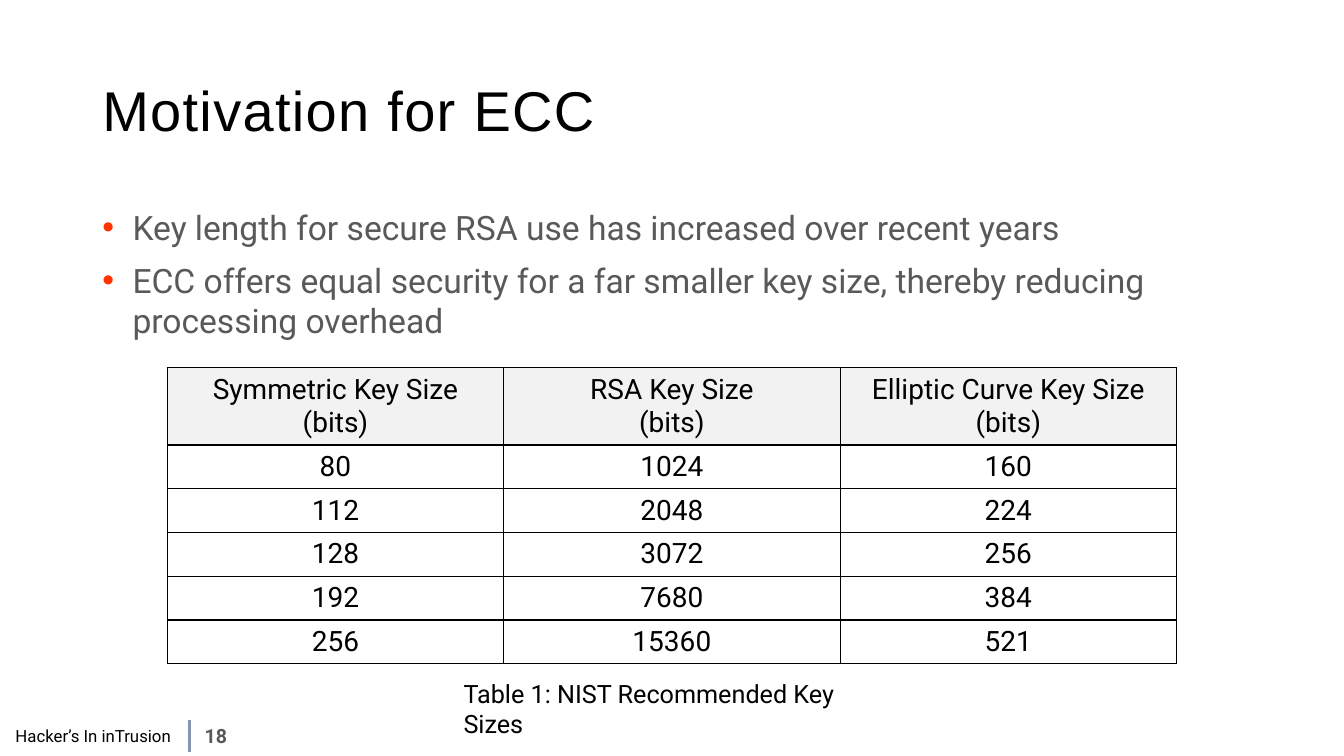
from dataclasses import dataclass

from lxml import etree
from pptx import Presentation
from pptx.dml.color import RGBColor
from pptx.enum.shapes import MSO_CONNECTOR
from pptx.enum.text import MSO_ANCHOR, PP_ALIGN
from pptx.oxml.ns import qn
from pptx.util import Pt

LEFT, CENTER = PP_ALIGN.LEFT, PP_ALIGN.CENTER
TOP, MIDDLE = MSO_ANCHOR.TOP, MSO_ANCHOR.MIDDLE
STRAIGHT = MSO_CONNECTOR.STRAIGHT


@dataclass(frozen=True)
class Theme:
    heading_font: str = "Arial"
    body_font: str = "Roboto"
    black: str = "000000"
    gray: str = "595959"
    bullet: str = "FF3300"
    header_fill: str = "F2F2F2"
    white: str = "FFFFFF"
    divider: str = "8497B0"
    title_size: int = 40
    body_size: int = 24
    table_size: int = 20
    caption_size: int = 18
    number_size: int = 14
    footer_size: int = 12


THEME = Theme()

BULLETS = [
    "Key length for secure RSA use has increased over recent years",
    "ECC offers equal security for a far smaller key size, thereby reducing "
    "processing overhead",
]
KEY_SIZES = [
    ("Symmetric Key Size\n(bits)", "RSA Key Size\n(bits)", "Elliptic Curve Key Size\n(bits)"),
    ("80", "1024", "160"),
    ("112", "2048", "224"),
    ("128", "3072", "256"),
    ("192", "7680", "384"),
    ("256", "15360", "521"),
]


def style(paragraph, size, color=THEME.black, font=THEME.body_font, align=LEFT, bold=False):
    paragraph.alignment = align
    paragraph.font.name = font
    paragraph.font.size = Pt(size)
    paragraph.font.bold = bold
    paragraph.font.color.rgb = RGBColor.from_string(color)


def add_text_frame(slide, left, top, width, height, anchor=TOP):
    frame = slide.shapes.add_textbox(Pt(left), Pt(top), Pt(width), Pt(height)).text_frame
    frame.word_wrap = True
    frame.vertical_anchor = anchor
    return frame


def add_label(slide, box, text, size, anchor=TOP, **look):
    paragraph = add_text_frame(slide, *box, anchor=anchor).paragraphs[0]
    paragraph.text = text
    style(paragraph, size, **look)
    return paragraph


def add_title(slide, text):
    paragraph = add_label(slide, (66, 28.8, 828, 104.4), text, THEME.title_size,
                          anchor=MIDDLE, font=THEME.heading_font)
    paragraph.line_spacing = 0.9
    # Letter spacing of one point
    paragraph.runs[0].font._element.set("spc", "100")


def set_bullet(paragraph, indent):
    properties = paragraph._p.get_or_add_pPr()
    properties.set("marL", str(Pt(indent)))
    properties.set("indent", str(-Pt(indent)))
    color = etree.SubElement(properties, qn("a:buClr"))
    etree.SubElement(color, qn("a:srgbClr"), val=THEME.bullet)
    etree.SubElement(properties, qn("a:buFont"), typeface="Arial")
    etree.SubElement(properties, qn("a:buChar"), char="•")


def add_bullets(slide, items):
    frame = add_text_frame(slide, 66, 144, 828, 365)
    for index, item in enumerate(items):
        paragraph = frame.add_paragraph() if index else frame.paragraphs[0]
        paragraph.text = item
        set_bullet(paragraph, 21.6)
        paragraph.space_after = Pt(9)
        style(paragraph, THEME.body_size, THEME.gray)


def set_borders(cell, color, width):
    properties = cell._tc.get_or_add_tcPr()
    for position, side in enumerate(("a:lnL", "a:lnR", "a:lnT", "a:lnB")):
        line = etree.Element(qn(side), w=str(Pt(width)))
        fill = etree.SubElement(line, qn("a:solidFill"))
        etree.SubElement(fill, qn("a:srgbClr"), val=color)
        properties.insert(position, line)


def add_key_table(slide, rows):
    header_height, row_height, column_width = 54.3, 30.7, 240.3
    columns = len(rows[0])
    height = header_height + row_height * (len(rows) - 1)
    table = slide.shapes.add_table(len(rows), columns, Pt(119.5), Pt(262.6),
                                   Pt(column_width * columns), Pt(height)).table
    table.horz_banding = False
    for column in table.columns:
        column.width = Pt(column_width)
    for row_index, values in enumerate(rows):
        table.rows[row_index].height = Pt(row_height if row_index else header_height)
        for column_index, value in enumerate(values):
            cell = table.cell(row_index, column_index)
            cell.vertical_anchor = MIDDLE
            cell.fill.solid()
            fill = THEME.white if row_index else THEME.header_fill
            cell.fill.fore_color.rgb = RGBColor.from_string(fill)
            set_borders(cell, THEME.black, 1)
            paragraph = cell.text_frame.paragraphs[0]
            paragraph.text = value
            style(paragraph, THEME.table_size, align=CENTER)


def add_divider(slide, x, top, bottom):
    line = slide.shapes.add_connector(STRAIGHT, Pt(x), Pt(top), Pt(x), Pt(bottom))
    line.line.color.rgb = RGBColor.from_string(THEME.divider)
    line.line.width = Pt(2.25)
    etree.SubElement(line._element.spPr, qn("a:effectLst"))


def main():
    presentation = Presentation()
    presentation.slide_width, presentation.slide_height = Pt(960), Pt(540)
    slide = presentation.slides.add_slide(presentation.slide_layouts[6])

    # Footer
    add_divider(slide, 135.4, 514, 537)
    add_label(slide, (0, 513.4, 133.2, 24.5), "Hacker’s In inTrusion",
              THEME.footer_size, anchor=MIDDLE, align=CENTER)
    add_label(slide, (133.2, 513.4, 42, 24.5), "18", THEME.number_size,
              color=THEME.gray, align=CENTER, bold=True)

    # Title and points
    add_title(slide, "Motivation for ECC")
    add_bullets(slide, BULLETS)

    # Table and caption
    add_key_table(slide, KEY_SIZES)
    add_label(slide, (324, 481, 312, 29), "Table 1: NIST Recommended Key Sizes",
              THEME.caption_size)

    presentation.save("out.pptx")


if __name__ == "__main__":
    main()
